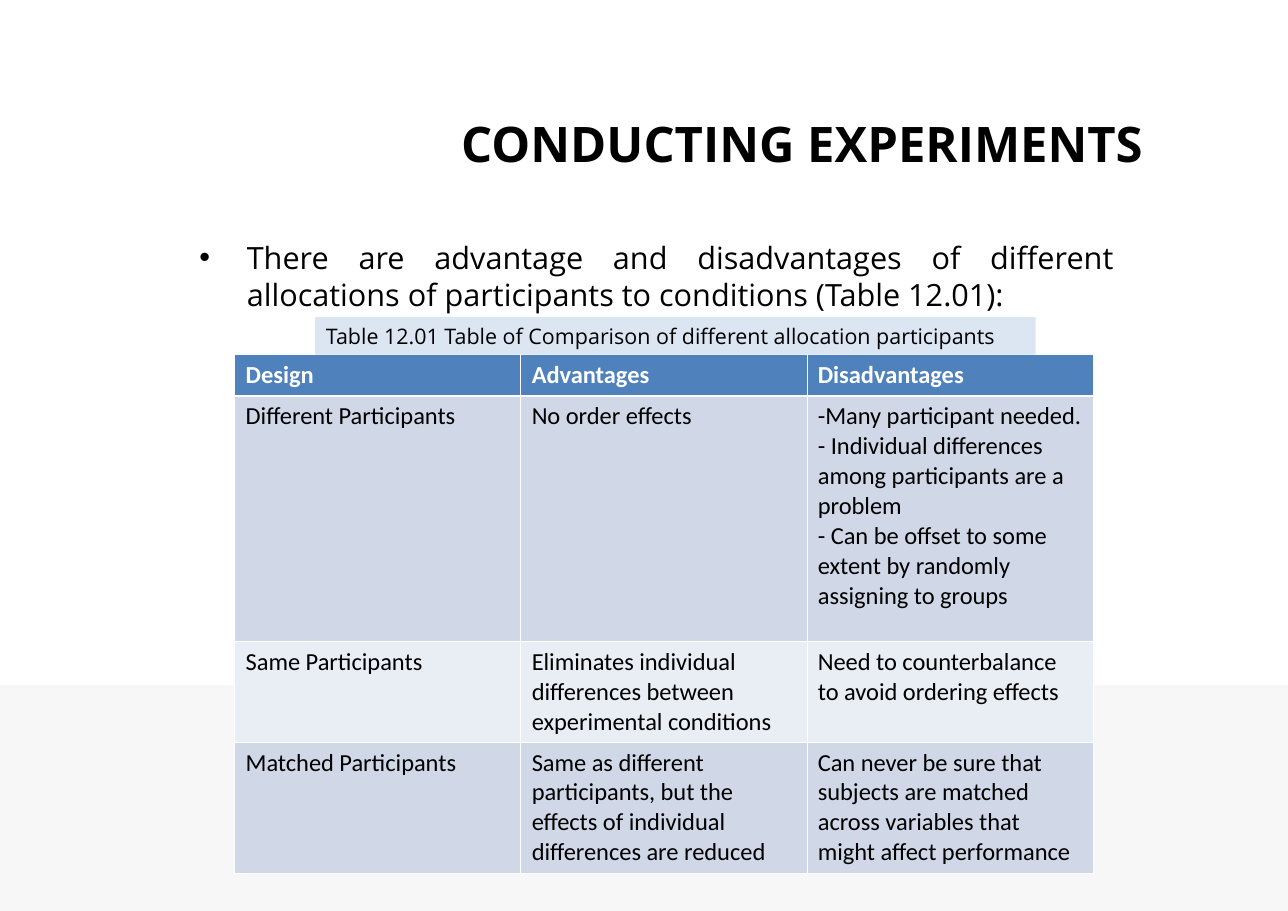
"""Build a slide that compares ways of allocating participants to conditions."""
from lxml import etree
from pptx import Presentation
from pptx.dml.color import RGBColor
from pptx.enum.shapes import MSO_SHAPE
from pptx.enum.text import MSO_ANCHOR, MSO_AUTO_SIZE, PP_ALIGN
from pptx.oxml import parse_xml
from pptx.oxml.ns import nsdecls, qn
from pptx.util import Inches, Pt

RECT = MSO_SHAPE.RECTANGLE
TOP, MIDDLE = MSO_ANCHOR.TOP, MSO_ANCHOR.MIDDLE
LEFT, RIGHT, JUSTIFY = PP_ALIGN.LEFT, PP_ALIGN.RIGHT, PP_ALIGN.JUSTIFY
FIXED = MSO_AUTO_SIZE.NONE

BLACK = RGBColor(0x00, 0x00, 0x00)
WHITE = RGBColor(0xFF, 0xFF, 0xFF)
GREY = RGBColor(0xF7, 0xF7, 0xF7)
PALE = RGBColor(0xDC, 0xE6, 0xF2)
BLUE = RGBColor(0x4F, 0x81, 0xBD)
DARK = RGBColor(0xD0, 0xD8, 0xE8)
LIGHT = RGBColor(0xE9, 0xED, 0xF4)


def add_text(para, text, size, name="Open Sans", color=BLACK, bold=False, align=LEFT):
    para.alignment = align
    para.space_before = Pt(0)
    run = para.add_run()
    run.text = text
    font = run.font
    font.size, font.name, font.bold = Pt(size), name, bold
    font.color.rgb = color


def add_rect(shapes, left, top, width, height, fill):
    rect = shapes.add_shape(RECT, Inches(left), Inches(top), Inches(width), Inches(height))
    rect.shadow.inherit = False
    rect.fill.solid()
    rect.fill.fore_color.rgb = fill
    rect.line.fill.background()
    return rect


deck = Presentation()
deck.slide_width, deck.slide_height = Inches(11.69), Inches(8.27)
slide = deck.slides.add_slide(deck.slide_layouts[1])
shapes = slide.shapes
title, body = shapes.title, slide.placeholders[1]

band = add_rect(shapes, 0, 6.22, 11.69, 2.05, GREY)
title.element.addprevious(band.element)

title.left, title.top = Inches(4.08), Inches(0.98)
title.width, title.height = Inches(6.4), Inches(0.64)
frame = title.text_frame
frame.auto_size, frame.word_wrap = FIXED, False
frame.vertical_anchor = MIDDLE
add_text(frame.paragraphs[0], "CONDUCTING EXPERIMENTS", 32, bold=True, align=RIGHT)

body.left, body.top = Inches(1.7), Inches(2.11)
body.width, body.height = Inches(8.52), Inches(5.14)
frame = body.text_frame
frame.auto_size, frame.word_wrap = FIXED, True
frame.vertical_anchor = TOP
frame.margin_left = frame.margin_right = Inches(0.11)
frame.margin_top = frame.margin_bottom = Inches(0.06)
para = frame.paragraphs[0]
props = para._p.get_or_add_pPr()
props.set("marL", str(Inches(0.43)))
props.set("indent", str(Inches(-0.43)))
tint = etree.SubElement(props, qn("a:buClr"))
etree.SubElement(tint, qn("a:srgbClr"), val=str(BLACK))
etree.SubElement(props, qn("a:buFont"), typeface="Arial")
etree.SubElement(props, qn("a:buChar"), char="•")
add_text(para, "There are advantage and disadvantages of different allocations of "
         "participants to conditions (Table 12.01):", 20, align=JUSTIFY)

rows = [
    [["Design"], ["Advantages"], ["Disadvantages"]],
    [["Different Participants"], ["No order effects"],
     ["-Many participant needed.",
      "- Individual differences among participants are a problem",
      "- Can be offset to some extent by randomly assigning to groups"]],
    [["Same Participants"],
     ["Eliminates individual differences between experimental conditions"],
     ["Need to counterbalance to avoid ordering effects"]],
    [["Matched Participants"],
     ["Same as different participants, but the effects of individual "
      "differences are reduced"],
     ["Can never be sure that subjects are matched across variables that "
      "might affect performance"]],
]
heights = [0.37, 2.23, 0.9, 1.17]
fills = [BLUE, DARK, LIGHT, DARK]
table = shapes.add_table(4, 3, Inches(2.13), Inches(3.22), Inches(7.79), Inches(4.67)).table
for row, (texts, height) in enumerate(zip(rows, heights)):
    table.rows[row].height = Inches(height)
    head = row == 0
    for col, lines in enumerate(texts):
        cell = table.cell(row, col)
        cell.fill.solid()
        cell.fill.fore_color.rgb = fills[row]
        frame = cell.text_frame
        for index, line in enumerate(lines):
            para = frame.add_paragraph() if index else frame.paragraphs[0]
            add_text(para, line, 16, "Calibri", WHITE if head else BLACK, head)
        props = cell._tc.get_or_add_tcPr()
        for place, side in enumerate("LRTB"):
            thick = (row, side) in [(0, "B"), (1, "T")]
            edge = parse_xml(
                f'<a:ln{side} {nsdecls("a")} w="{Pt(1.47 if thick else 0.45)}">'
                f'<a:solidFill><a:srgbClr val="{WHITE}"/></a:solidFill></a:ln{side}>')
            props.insert(place, edge)

label = add_rect(shapes, 2.86, 2.88, 6.54, 0.34, PALE)
frame = label.text_frame
frame.word_wrap = True
frame.vertical_anchor = MIDDLE
add_text(frame.paragraphs[0],
         "Table 12.01 Table of Comparison of different allocation participants", 14)

deck.save("out.pptx")
